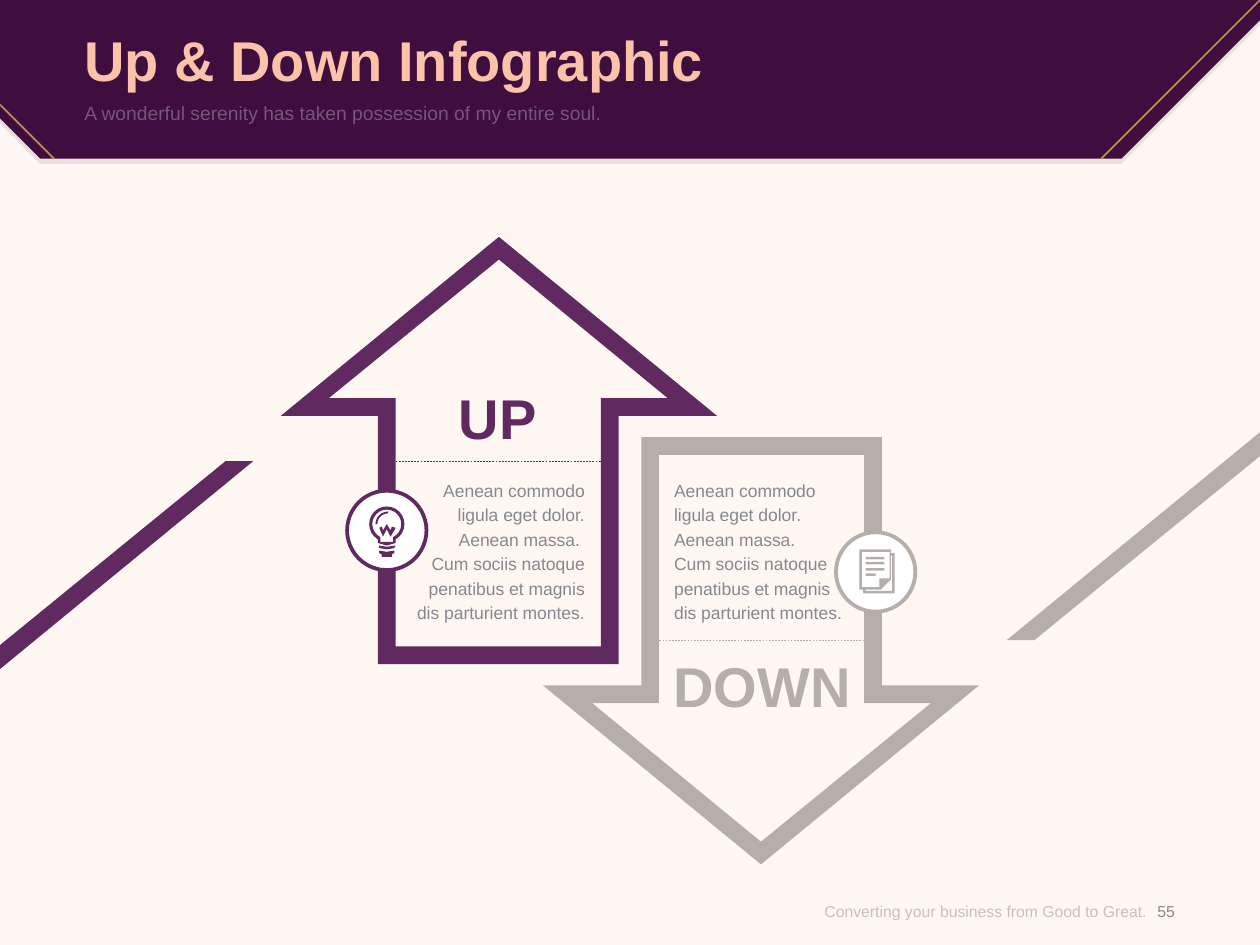
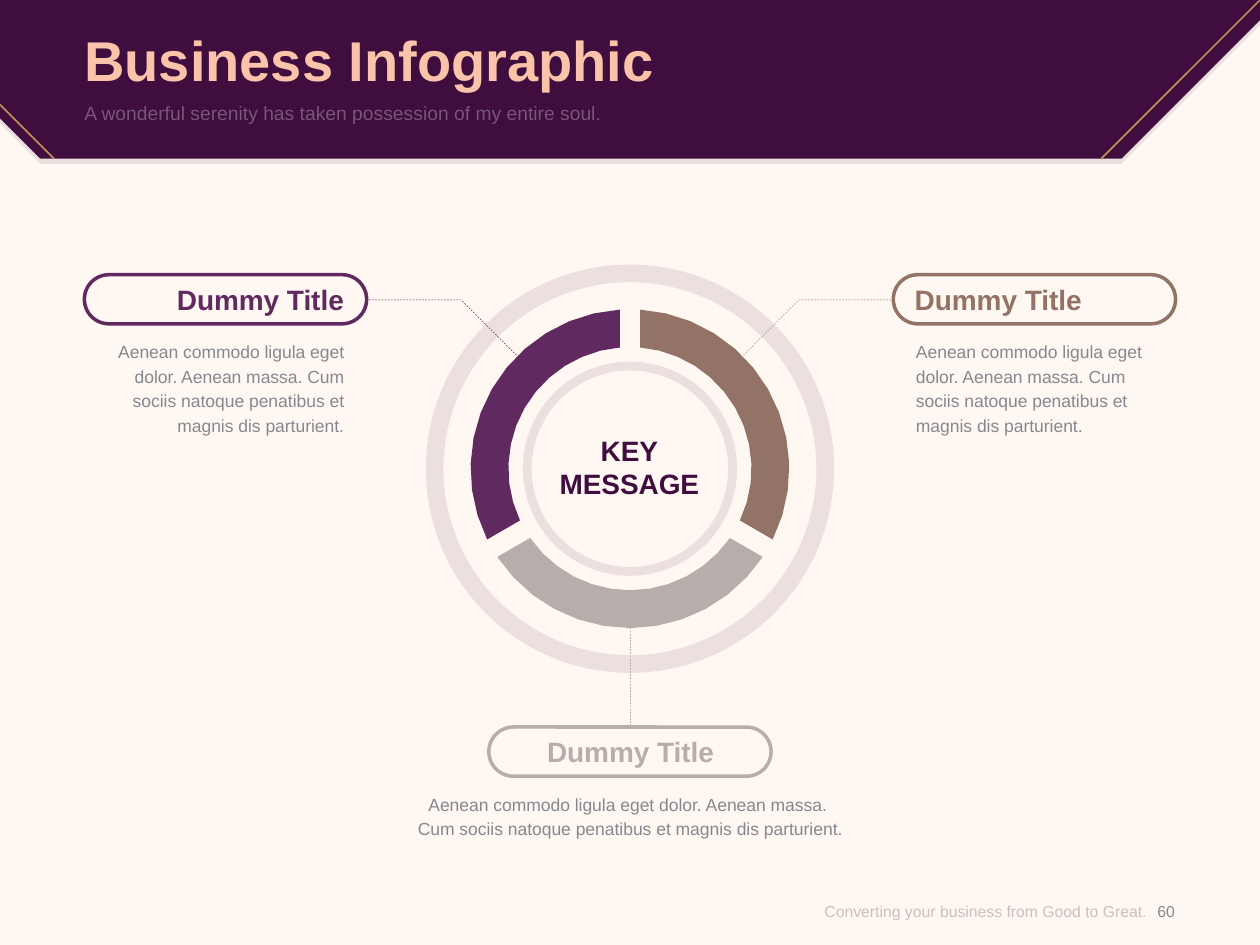
from math import asin, cos, degrees, radians, sin

from pptx import Presentation
from pptx.dml.color import RGBColor
from pptx.enum.dml import MSO_LINE
from pptx.enum.shapes import MSO_CONNECTOR, MSO_SHAPE
from pptx.enum.text import MSO_ANCHOR, PP_ALIGN
from pptx.oxml.ns import qn
from pptx.oxml.xmlchemy import OxmlElement
from pptx.util import Inches, Pt

DASH = MSO_LINE.DASH
STRAIGHT = MSO_CONNECTOR.STRAIGHT
ELLIPSE, DONUT, PILL = MSO_SHAPE.OVAL, MSO_SHAPE.DONUT, MSO_SHAPE.ROUNDED_RECTANGLE
TOP, MIDDLE = MSO_ANCHOR.TOP, MSO_ANCHOR.MIDDLE
LEFT, CENTER, RIGHT = PP_ALIGN.LEFT, PP_ALIGN.CENTER, PP_ALIGN.RIGHT

CREAM, WHITE = "FFF7F2", "FFFFFF"
DEEP, PURPLE, BROWN, STONE = "3F0D3E", "602A60", "927365", "B6AEAB"
PEACH, GOLD, GRAY, FOOTER = "FBC4AA", "B98E56", "85898F", "8C8C8C"

SUBTITLE = "A wonderful serenity has taken possession of my entire soul."
TAGLINE = "Converting your business from Good to Great."
AENEAN = "Aenean commodo ligula eget dolor. Aenean massa."
SOCIIS = "Cum sociis natoque penatibus et magnis dis parturient"


def rgb(color):
    return RGBColor.from_string(color)


def arc(cx, cy, radius, start, end, steps=12):
    angles = [radians(start + (end - start) * i / steps) for i in range(steps + 1)]
    return [(cx + radius * cos(a), cy + radius * sin(a)) for a in angles]


def rect(left, top, right, bottom):
    return [(left, top), (right, top), (right, bottom), (left, bottom)]


def half_turn(points):
    return [(10 - x, 8.74 - y) for x, y in points]


def add_alpha(element, percent):
    alpha = OxmlElement("a:alpha")
    alpha.set("val", str(percent * 1000))
    next(element.iter(qn("a:srgbClr"))).append(alpha)


class Deck:
    font = "Arial"

    def __init__(self):
        self.prs = Presentation()
        self.prs.slide_width, self.prs.slide_height = Inches(10), Inches(7.5)
        self.s = None

    def new_slide(self, title, number):
        self.s = self.prs.slides.add_slide(self.prs.slide_layouts[6])
        fill = self.s.background.fill
        fill.solid()
        fill.fore_color.rgb = rgb(CREAM)
        band = [(0, 0), (10, 0), (10, 0.16), (8.9, 1.26), (0.32, 1.26), (0, 0.94)]
        self.freeform([[(x, y + 0.04) for x, y in band]], DEEP, alpha=10)
        self.freeform([band], DEEP)
        self.line((10, 0), (8.74, 1.26), GOLD, 1)
        self.line((0, 0.83), (0.43, 1.26), GOLD, 1)
        self.text((0.67, 0.14, 8.66, 0.65), [title], PEACH, 32, True, anchor=MIDDLE)
        self.text((0.67, 0.8, 8.66, 0.39), [SUBTITLE], WHITE, 11, alpha=30)
        self.text((6.04, 6.96, 3.06, 0.54), [TAGLINE], FOOTER, 9,
                  align=RIGHT, anchor=MIDDLE, alpha=50)
        self.text((9.02, 6.96, 0.47, 0.54), [number], GRAY, 9,
                  align=CENTER, anchor=MIDDLE)

    def style(self, sp, fill=None, line=None, width=1, dash=None, alpha=None):
        sp.shadow.inherit = False
        if fill:
            sp.fill.solid()
            sp.fill.fore_color.rgb = rgb(fill)
            if alpha:
                add_alpha(sp.element, alpha)
        else:
            sp.fill.background()
        if line:
            self.stroke(sp.line, line, width, dash)
        else:
            sp.line.fill.background()

    def stroke(self, line, color, width, dash=None):
        line.color.rgb = rgb(color)
        line.width = Pt(width)
        if dash:
            line.dash_style = dash

    def freeform(self, contours, fill=None, closed=True, **look):
        first, *others = [[(Inches(x), Inches(y)) for x, y in points]
                          for points in contours]
        builder = self.s.shapes.build_freeform(*first[0])
        builder.add_line_segments(first[1:], close=closed)
        for points in others:
            builder.move_to(*points[0])
            builder.add_line_segments(points[1:], close=closed)
        self.style(builder.convert_to_shape(), fill, **look)

    def shape(self, kind, at, adjust=None, **look):
        sp = self.s.shapes.add_shape(kind, *map(Inches, at))
        if adjust is not None:
            sp.adjustments[0] = adjust
        self.style(sp, **look)

    def disc(self, kind, cx, cy, size, thickness=None, **look):
        adjust = thickness / size if thickness else None
        self.shape(kind, (cx - size / 2, cy - size / 2, size, size), adjust, **look)

    def line(self, start, end, color, width=0.25, dash=None):
        cxn = self.s.shapes.add_connector(STRAIGHT, *map(Inches, (*start, *end)))
        self.stroke(cxn.line, color, width, dash)
        cxn.element.spPr.append(OxmlElement("a:effectLst"))

    def text(self, at, lines, color, size, bold=False, align=LEFT, anchor=TOP,
             spacing=None, alpha=None):
        tf = self.s.shapes.add_textbox(*map(Inches, at)).text_frame
        frame = {"word_wrap": True, "vertical_anchor": anchor, "margin_left": 0,
                 "margin_right": 0, "margin_top": 0, "margin_bottom": 0}
        for name, value in frame.items():
            setattr(tf, name, value)
        for i, line in enumerate(lines):
            p = tf.add_paragraph() if i else tf.paragraphs[0]
            p.alignment = align
            if spacing:
                p.line_spacing = Pt(spacing)
            r = p.add_run()
            r.text = line
            for name, value in {"name": self.font, "size": Pt(size), "bold": bold}.items():
                setattr(r.font, name, value)
            r.font.color.rgb = rgb(color)
            if alpha:
                add_alpha(r._r, alpha)

    def body(self, at, lines, align):
        self.text(at, lines, GRAY, 10, align=align, spacing=14)

    def badge(self, cx, cy, color, icon):
        self.disc(ELLIPSE, cx, cy, 0.63, fill=WHITE)
        self.disc(DONUT, cx, cy, 0.66, 0.03, fill=color)
        self.freeform(icon, color)

    def callout(self, pill_left, pill_top, title_at, body_at, lines, color, align):
        self.body(body_at, lines, align)
        self.text(title_at, ["Dummy Title"], color, 16, True, align)
        self.shape(PILL, (pill_left, pill_top, 2.24, 0.39), 0.5, line=color, width=2)


def bulb_icon():
    cx, cy = 3.07, 4.16
    glass = arc(cx, cy, 0.14, 120, 420, 20) + [(3.14, 4.31), (3.07, 4.33), (3, 4.31)]
    hollow = arc(cx, cy, 0.115, 116, 424, 20) + [(3.12, 4.3), (3.02, 4.3)]
    shine = arc(3.08, cy, 0.1, 180, 270, 6) + arc(3.08, cy, 0.085, 270, 180, 6)
    filament = [(3.1, 4.21), (3.07, 4.16), (3.04, 4.21), (3.03, 4.18), (3.01, 4.19),
                (3.04, 4.26), (3.07, 4.2), (3.1, 4.26), (3.14, 4.19), (3.11, 4.18)]
    collar = [(3.01, 4.33), (3.07, 4.34), (3.14, 4.33),
              (3.13, 4.35), (3.07, 4.36), (3.01, 4.35)]
    foot = [(3.01, 4.37), (3.07, 4.38), (3.13, 4.37), (3.13, 4.39), (3.11, 4.4),
            (3.11, 4.42), (3.03, 4.42), (3.03, 4.4), (3.01, 4.39)]
    return [glass, hollow, shine, filament, collar, foot]


def pages_icon():
    outline = [(7.07, 4.39), (7.07, 4.36), (6.82, 4.36), (6.82, 4.68),
               (6.85, 4.68), (6.85, 4.71), (7.1, 4.71), (7.1, 4.39)]
    front = [(6.84, 4.66), (6.84, 4.38), (7.06, 4.38),
             (7.06, 4.59), (6.98, 4.59), (6.98, 4.66)]
    back = [(7.08, 4.69), (6.87, 4.69), (6.87, 4.68), (6.99, 4.68),
            (7.07, 4.6), (7.07, 4.41), (7.08, 4.41)]
    rows = [(4.42, 7.02), (4.46, 7.02), (4.51, 7.02), (4.55, 6.95)]
    return [outline, front, back] + [rect(6.87, y, right, y + 0.02) for y, right in rows]


def up_down_slide(deck):
    deck.new_slide("Up & Down Infographic", "55")
    arrow = [
        [(4.91, 5.27), (3, 5.27), (3, 3.3), (2.23, 3.3),
         (3.96, 1.88), (5.69, 3.3), (4.91, 3.3)],
        [(4.77, 5.13), (4.77, 3.16), (5.3, 3.16), (3.96, 2.06),
         (2.61, 3.16), (3.14, 3.16), (3.14, 5.13)],
    ]
    stripe = [(2.01, 3.66), (0, 5.31), (0, 5.12), (1.79, 3.66)]
    divider = [(3.14, 3.66), (4.77, 3.66)]

    deck.freeform([half_turn(points) for points in arrow], STONE)
    deck.line(*divider, PURPLE, dash=DASH)
    deck.line(*half_turn(divider), STONE, dash=DASH)
    deck.badge(6.95, 4.54, STONE, pages_icon())
    deck.freeform([stripe], PURPLE)
    deck.freeform([half_turn(stripe)], STONE)
    deck.freeform(arrow, PURPLE)
    deck.badge(3.07, 4.21, PURPLE, bulb_icon())

    montes = SOCIIS + " montes."
    deck.body((3.26, 3.78, 1.38, 1.18), [AENEAN + " ", montes], RIGHT)
    deck.text((3.26, 3.04, 1.38, 0.54), ["UP"], PURPLE, 32, True, CENTER)
    deck.body((5.35, 3.78, 1.38, 1.18), [AENEAN, montes], LEFT)
    deck.text((5.28, 5.17, 1.54, 0.54), ["DOWN"], STONE, 32, True, CENTER)


def business_slide(deck):
    deck.new_slide("Business Infographic", "60")
    cx, cy, outer, inner, half_gap = 5, 3.72, 1.265, 0.965, 0.08
    deck.disc(DONUT, cx, cy, 1.7, 0.07, fill=DEEP, alpha=10)
    deck.disc(DONUT, cx, cy, 3.24, 0.14, fill=DEEP, alpha=10)

    leader = [(4.1, 2.82), (3.66, 2.38), (2.93, 2.38)]
    mirrored = [(10 - x, y) for x, y in leader]
    for points, color in ((leader, PURPLE), (mirrored, BROWN)):
        deck.freeform([points], closed=False, line=color, width=0.25, dash=DASH)

    for middle, color in ((90, STONE), (210, PURPLE), (330, BROWN)):
        out_span, in_span = (60 - degrees(asin(half_gap / r)) for r in (outer, inner))
        deck.freeform([arc(cx, cy, outer, middle - out_span, middle + out_span)
                       + arc(cx, cy, inner, middle + in_span, middle - in_span)], color)
    deck.line((5, 4.98), (5, 5.76), STONE, dash=DASH)

    sentence = SOCIIS + "."
    whole = [AENEAN + " " + sentence]
    deck.callout(3.88, 5.77, (4.02, 5.83, 1.97, 0.27), (3.23, 6.27, 3.54, 0.38),
                 [AENEAN + " ", sentence], STONE, CENTER)
    deck.callout(0.67, 2.18, (0.88, 2.24, 1.85, 0.27), (0.8, 2.68, 1.93, 0.79),
                 whole, PURPLE, RIGHT)
    deck.callout(7.09, 2.18, (7.26, 2.24, 1.85, 0.27), (7.27, 2.68, 1.93, 0.79),
                 whole, BROWN, LEFT)
    deck.text((4.07, 3.44, 1.85, 0.54), ["KEY", "MESSAGE"], DEEP, 16, True, CENTER)


def main():
    deck = Deck()
    up_down_slide(deck)
    business_slide(deck)
    deck.prs.save("out.pptx")


if __name__ == "__main__":
    main()
